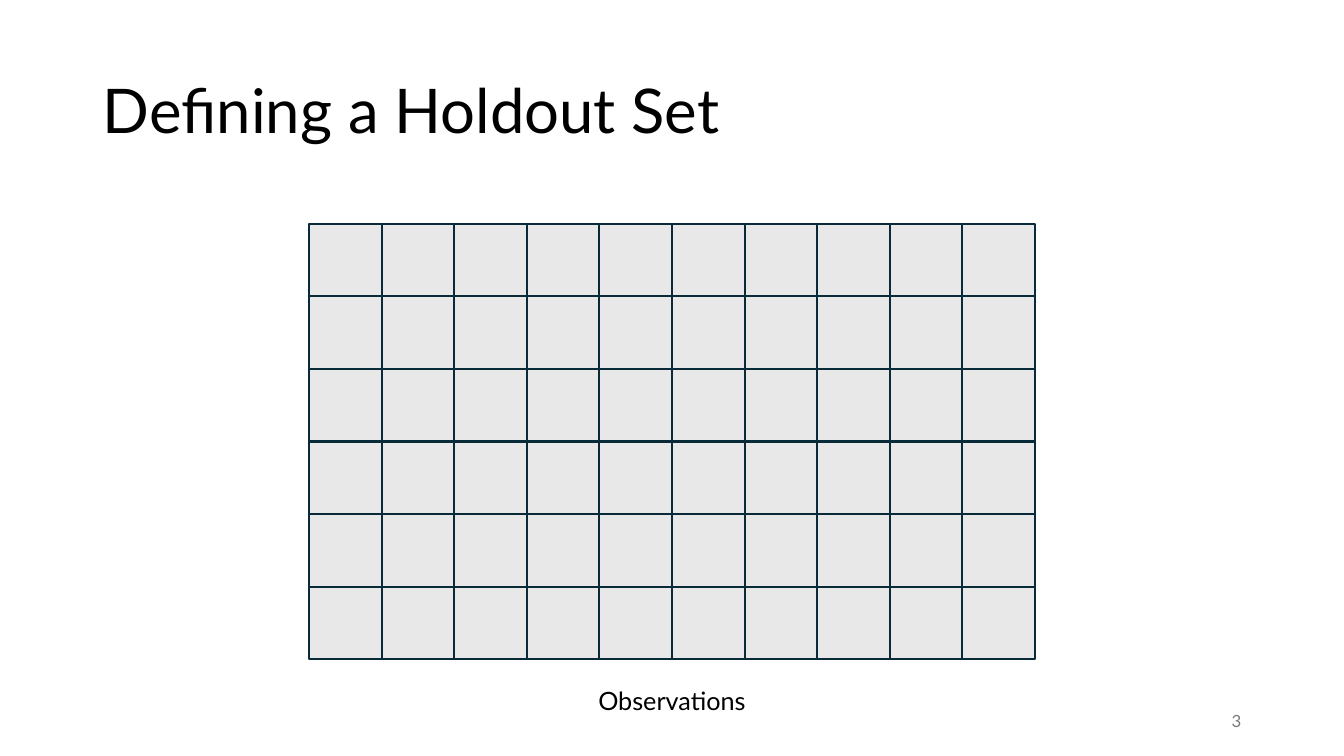
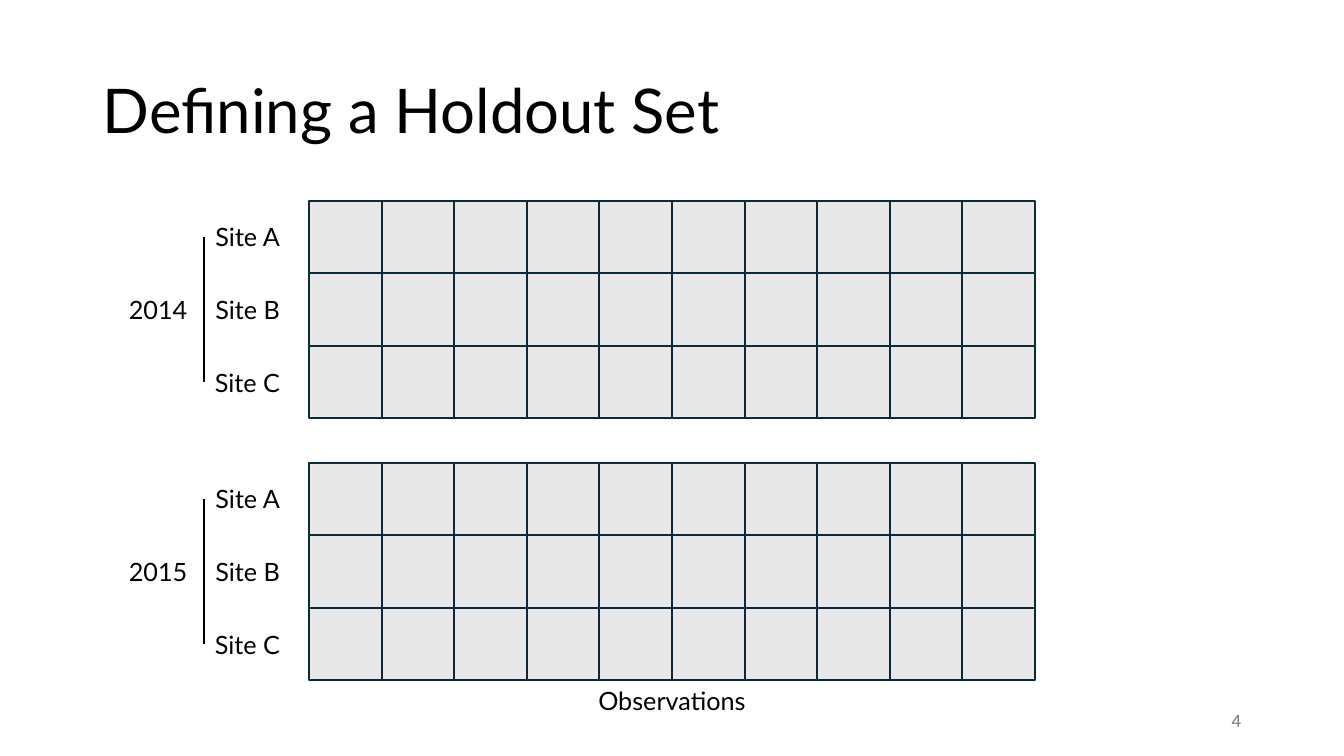
from itertools import product

from lxml import etree
from pptx import Presentation
from pptx import util as u
from pptx.dml.color import RGBColor
from pptx.enum import shapes, text
from pptx.oxml.ns import qn

BLACK = RGBColor(0x00, 0x00, 0x00)
NUMBER_GREY = RGBColor(0x79, 0x79, 0x79)
CELL_FILL = RGBColor(0xE8, 0xE8, 0xE8)
CELL_LINE = RGBColor(0x09, 0x2A, 0x39)
FONT = "Lato"

SLIDE_WIDTH, SLIDE_HEIGHT = 13.33, 7.5
MARGIN = 0.92
CELL = 0.72
COLUMNS = 10
GRID_LEFT = (SLIDE_WIDTH - COLUMNS * CELL) / 2
LABEL_WIDTH, LABEL_HEIGHT = 0.85, 0.4
SITE_OFFSET, YEAR_OFFSET = 1.04, 1.96  # from the grid's left edge
BLOCK_GAP = 0.44
SITES = ["Site A", "Site B", "Site C"]
YEARS = ["2014", "2015"]


def add_text(page, words, left, top, width, height, size=18, color=BLACK,
             align=text.PP_ALIGN.LEFT, anchor=text.MSO_ANCHOR.TOP, spacing=1.0):
    box = page.shapes.add_textbox(*map(u.Inches, (left, top, width, height)))
    frame = box.text_frame
    frame.word_wrap = True
    frame.vertical_anchor = anchor
    para = frame.paragraphs[0]
    para.text = words
    para.alignment = align
    para.line_spacing = spacing
    para.font.name = FONT
    para.font.size = u.Pt(size)
    para.font.color.rgb = color


def add_page(deck, title, number):
    """Add a page with the title, page number and axis label all pages share."""
    page = deck.slides.add_slide(deck.slide_layouts[6])
    add_text(page, title, MARGIN, 0.4, SLIDE_WIDTH - 2 * MARGIN, 1.45, size=44,
             anchor=text.MSO_ANCHOR.MIDDLE, spacing=0.9)
    add_text(page, str(number), SLIDE_WIDTH - MARGIN - 3, 6.95, 3, 0.4, size=12,
             color=NUMBER_GREY, align=text.PP_ALIGN.RIGHT,
             anchor=text.MSO_ANCHOR.MIDDLE)
    add_text(page, "Observations", GRID_LEFT, 6.75, COLUMNS * CELL, LABEL_HEIGHT,
             align=text.PP_ALIGN.CENTER)
    return page


def add_grid(page, left, top, rows):
    for row, column in product(range(rows), range(COLUMNS)):
        cell = page.shapes.add_shape(
            shapes.MSO_SHAPE.RECTANGLE,
            u.Inches(left + column * CELL), u.Inches(top + row * CELL),
            u.Inches(CELL), u.Inches(CELL))
        cell.shadow.inherit = False
        cell.fill.solid()
        cell.fill.fore_color.rgb = CELL_FILL
        cell.line.color.rgb = CELL_LINE
        cell.line.width = u.Pt(1.5)


def add_row_label(page, words, left, middle):
    add_text(page, words, left, middle - LABEL_HEIGHT / 2, LABEL_WIDTH,
             LABEL_HEIGHT, align=text.PP_ALIGN.RIGHT)


def add_bracket(page, left, top, bottom):
    line = page.shapes.add_connector(
        shapes.MSO_CONNECTOR.STRAIGHT,
        *map(u.Inches, (left, top, left, bottom)))
    line.line.color.rgb = BLACK
    line.line.width = u.Pt(1)
    etree.SubElement(line._element.spPr, qn("a:effectLst"))


def add_year_block(page, year, left, top):
    """Draw one year's grid, with a row per site, and the labels to its left."""
    add_grid(page, left, top, len(SITES))
    middles = [top + (row + 0.5) * CELL for row in range(len(SITES))]
    for site, middle in zip(SITES, middles):
        add_row_label(page, site, left - SITE_OFFSET, middle)
    add_row_label(page, year, left - YEAR_OFFSET, (middles[0] + middles[-1]) / 2)
    add_bracket(page, left - SITE_OFFSET, middles[0], middles[-1])


def main():
    deck = Presentation()
    deck.slide_width = u.Inches(SLIDE_WIDTH)
    deck.slide_height = u.Inches(SLIDE_HEIGHT)
    title = "Defining a Holdout Set"

    page = add_page(deck, title, 3)
    add_grid(page, GRID_LEFT, 2.22, len(YEARS) * len(SITES))

    page = add_page(deck, title, 4)
    for index, year in enumerate(YEARS):
        top = 1.99 + index * (len(SITES) * CELL + BLOCK_GAP)
        add_year_block(page, year, GRID_LEFT, top)

    deck.save("out.pptx")


if __name__ == "__main__":
    main()
